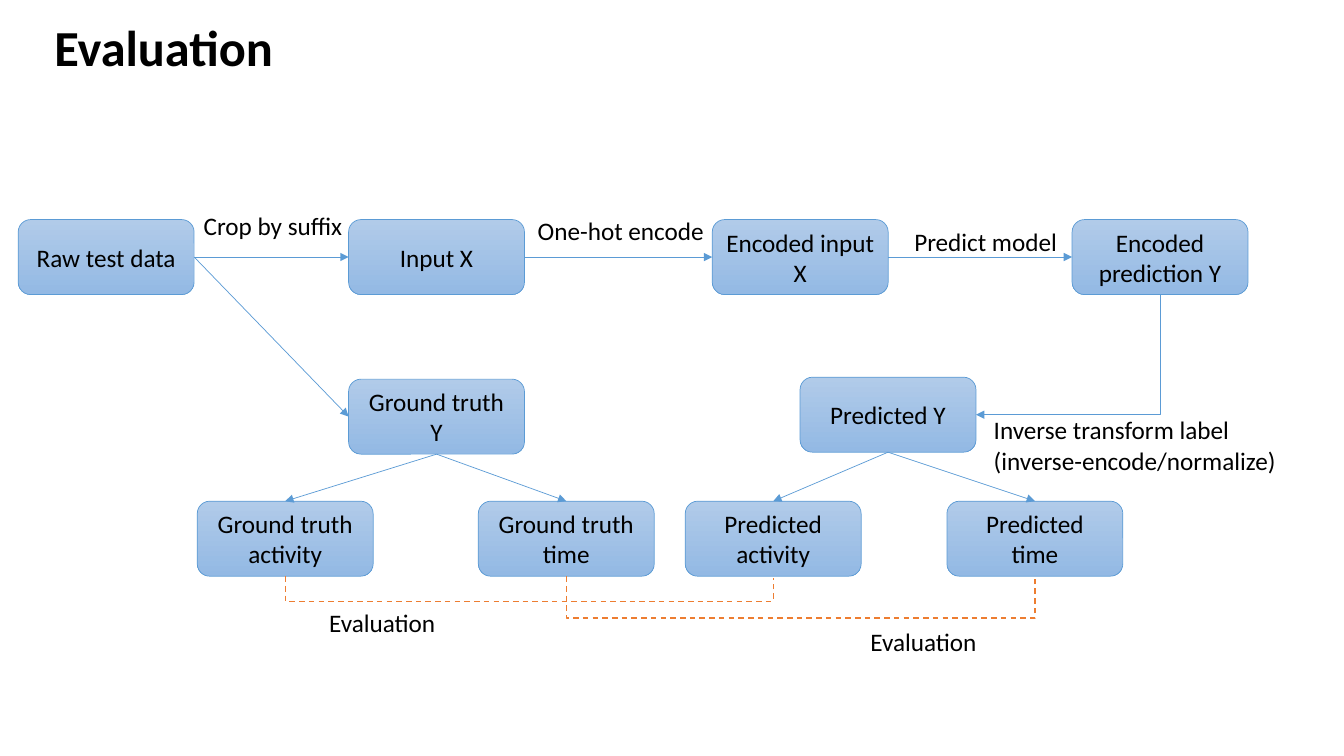
from dataclasses import dataclass, field
from typing import Any

from lxml.etree import SubElement
from pptx import Presentation
from pptx.dml.color import RGBColor
from pptx.enum.dml import MSO_LINE
from pptx.enum.shapes import MSO_CONNECTOR, MSO_SHAPE
from pptx.enum.text import MSO_ANCHOR, MSO_AUTO_SIZE, PP_ALIGN
from pptx.oxml.ns import qn
from pptx.util import Pt


@dataclass(frozen=True)
class Theme:
    font: str = "Calibri"
    title_size: float = 36
    body_size: float = 18
    ink: RGBColor = field(default_factory=lambda: RGBColor.from_string("000000"))
    box_top: RGBColor = field(default_factory=lambda: RGBColor.from_string("B1CBE9"))
    box_bottom: RGBColor = field(default_factory=lambda: RGBColor.from_string("93B9E4"))
    flow: RGBColor = field(default_factory=lambda: RGBColor.from_string("5B9BD5"))
    compare: RGBColor = field(default_factory=lambda: RGBColor.from_string("ED7D31"))


@dataclass(frozen=True)
class Step:
    text: str
    left: float
    top: float


@dataclass(frozen=True)
class Label:
    lines: tuple[str, ...]
    left: float
    top: float
    width: float
    height: float = 28.8


THEME = Theme()
BOX_WIDTH, BOX_HEIGHT = 125.7, 53.6
TOP_ROW, BOTTOM_ROW = 156.8, 358
TOP, LEFT, BOTTOM, RIGHT = range(4)  # connection sites of a box

STEPS = {
    "raw": Step("Raw test data", 13, TOP_ROW),
    "input": Step("Input X", 249, TOP_ROW),
    "encoded": Step("Encoded input X", 508.8, TOP_ROW),
    "prediction": Step("Encoded prediction Y", 765.8, TOP_ROW),
    "truth": Step("Ground truth Y", 249, 270.8),
    "predicted": Step("Predicted Y", 571.5, 269.4),
    "truth_activity": Step("Ground truth activity", 140.9, BOTTOM_ROW),
    "truth_time": Step("Ground truth time", 341.7, BOTTOM_ROW),
    "predicted_activity": Step("Predicted activity", 489.5, BOTTOM_ROW),
    "predicted_time": Step("Predicted time", 676.4, BOTTOM_ROW),
}

ARROWS = [
    ("raw", RIGHT, "input", LEFT),
    ("raw", RIGHT, "truth", LEFT),
    ("input", RIGHT, "encoded", LEFT),
    ("encoded", RIGHT, "prediction", LEFT),
    ("truth", BOTTOM, "truth_activity", TOP),
    ("truth", BOTTOM, "truth_time", TOP),
    ("predicted", BOTTOM, "predicted_activity", TOP),
    ("predicted", BOTTOM, "predicted_time", TOP),
]

# Compared pairs and how far each bracket hangs below its boxes
COMPARISONS = [
    ("truth_activity", "predicted_activity", 18),
    ("truth_time", "predicted_time", 30.2),
]

LABELS = [
    Label(("Crop by suffix",), 138.4, 146.4, 120.2),
    Label(("One-hot encode",), 377, 150, 144),
    Label(("Predict model",), 646, 158.4, 144),
    Label(("Inverse transform label", "(inverse-encode/normalize)"),
          702.7, 292.6, 234, 51),
    Label(("Evaluation",), 228, 430.6, 144),
    Label(("Evaluation",), 614.6, 443.8, 144),
]


def apply(target: Any, values: dict[str, Any]) -> None:
    for name, value in values.items():
        setattr(target, name, value)


def write(shape: Any, lines: tuple[str, ...], frame_format: dict[str, Any],
          para_format: dict[str, Any], font_format: dict[str, Any]) -> None:
    frame = shape.text_frame
    apply(frame, {"word_wrap": True, **frame_format})
    for index, line in enumerate(lines):
        para = frame.add_paragraph() if index else frame.paragraphs[0]
        apply(para, para_format)
        span = para.add_run()
        span.text = line
        apply(span.font, {"name": THEME.font, "size": Pt(THEME.body_size), **font_format})
        span.font.color.rgb = THEME.ink


def add_title(page: Any, text: str) -> None:
    title = page.shapes.title
    apply(title, {"left": Pt(31.7), "top": Pt(13), "width": Pt(576), "height": Pt(46)})
    write(title, (text,),
          {"vertical_anchor": MSO_ANCHOR.BOTTOM, "auto_size": MSO_AUTO_SIZE.NONE},
          {"alignment": PP_ALIGN.LEFT, "line_spacing": 0.9},
          {"size": Pt(THEME.title_size), "bold": True})


def add_step(page: Any, step: Step) -> Any:
    box = page.shapes.add_shape(MSO_SHAPE.ROUNDED_RECTANGLE, Pt(step.left), Pt(step.top),
                                Pt(BOX_WIDTH), Pt(BOX_HEIGHT))
    box.shadow.inherit = False
    box.fill.gradient()
    box.fill.gradient_angle = 270
    for stop, color in zip(box.fill.gradient_stops, (THEME.box_top, THEME.box_bottom)):
        stop.color.rgb = color
    box.line.color.rgb = THEME.flow
    box.line.width = Pt(0.5)
    write(box, (step.text,), {"vertical_anchor": MSO_ANCHOR.MIDDLE},
          {"alignment": PP_ALIGN.CENTER}, {})
    return box


def add_label(page: Any, label: Label) -> None:
    box = page.shapes.add_textbox(Pt(label.left), Pt(label.top),
                                  Pt(label.width), Pt(label.height))
    write(box, label.lines, {"auto_size": MSO_AUTO_SIZE.SHAPE_TO_FIT_TEXT}, {}, {})


def style_line(line: Any, color: RGBColor, width: float, arrow: bool) -> None:
    line.line.color.rgb = color
    line.line.width = Pt(width)
    properties = line._element.spPr
    if arrow:
        SubElement(properties.find(qn("a:ln")), qn("a:tailEnd"), type="triangle")
    else:
        line.line.dash_style = MSO_LINE.DASH
    SubElement(properties, qn("a:effectLst"))


def add_arrow(page: Any, source: Any, source_site: int, target: Any, target_site: int) -> None:
    arrow = page.shapes.add_connector(MSO_CONNECTOR.STRAIGHT, 0, 0, 0, 0)
    arrow.begin_connect(source, source_site)
    arrow.end_connect(target, target_site)
    style_line(arrow, THEME.flow, 0.5, True)


def add_turned_elbow(page: Any, start: tuple[float, float], end: tuple[float, float],
                     preset: str, turn: dict[str, str]) -> Any:
    """Elbow leaving downwards: its frame is turned a quarter about its centre."""
    across, down = abs(end[0] - start[0]), end[1] - start[1]
    elbow = page.shapes.add_connector(MSO_CONNECTOR.ELBOW, 0, 0, 0, 0)
    apply(elbow, {"left": Pt((start[0] + end[0] - down) / 2),
                  "top": Pt((start[1] + end[1] - across) / 2),
                  "width": Pt(down), "height": Pt(across)})
    properties = elbow._element.spPr
    properties.find(qn("a:prstGeom")).set("prst", preset)
    for name, value in turn.items():
        properties.find(qn("a:xfrm")).set(name, value)
    return elbow


def bottom_centre(step: Step) -> tuple[float, float]:
    return step.left + BOX_WIDTH / 2, step.top + BOX_HEIGHT


def add_return_arrow(page: Any, source: Step, target: Step) -> None:
    end = (target.left + BOX_WIDTH, target.top + BOX_HEIGHT / 2)
    elbow = add_turned_elbow(page, bottom_centre(source), end, "bentConnector2",
                             {"rot": "5400000"})
    style_line(elbow, THEME.flow, 0.5, True)


def add_bracket(page: Any, source: Step, target: Step, drop: float) -> None:
    # A frame one point deep makes the adjustment a drop in points
    end_x, end_y = bottom_centre(target)
    elbow = add_turned_elbow(page, bottom_centre(source), (end_x, end_y + 1),
                             "bentConnector3", {"rot": "16200000", "flipH": "1"})
    guides = elbow._element.spPr.find(qn("a:prstGeom")).get_or_add_avLst()
    SubElement(guides, qn("a:gd"), name="adj1", fmla=f"val {round(drop * 100000)}")
    style_line(elbow, THEME.compare, 1, False)


def main() -> None:
    deck = Presentation()
    apply(deck, {"slide_width": Pt(960), "slide_height": Pt(540)})
    page = deck.slides.add_slide(deck.slide_layouts.get_by_name("Title Only"))
    add_title(page, "Evaluation")

    # Boxes and the flow between them
    boxes = {name: add_step(page, step) for name, step in STEPS.items()}
    for source, source_site, target, target_site in ARROWS:
        add_arrow(page, boxes[source], source_site, boxes[target], target_site)
    add_return_arrow(page, STEPS["prediction"], STEPS["predicted"])

    # Comparison brackets and captions
    for source, target, drop in COMPARISONS:
        add_bracket(page, STEPS[source], STEPS[target], drop)
    for label in LABELS:
        add_label(page, label)
    deck.save("out.pptx")


if __name__ == "__main__":
    main()
